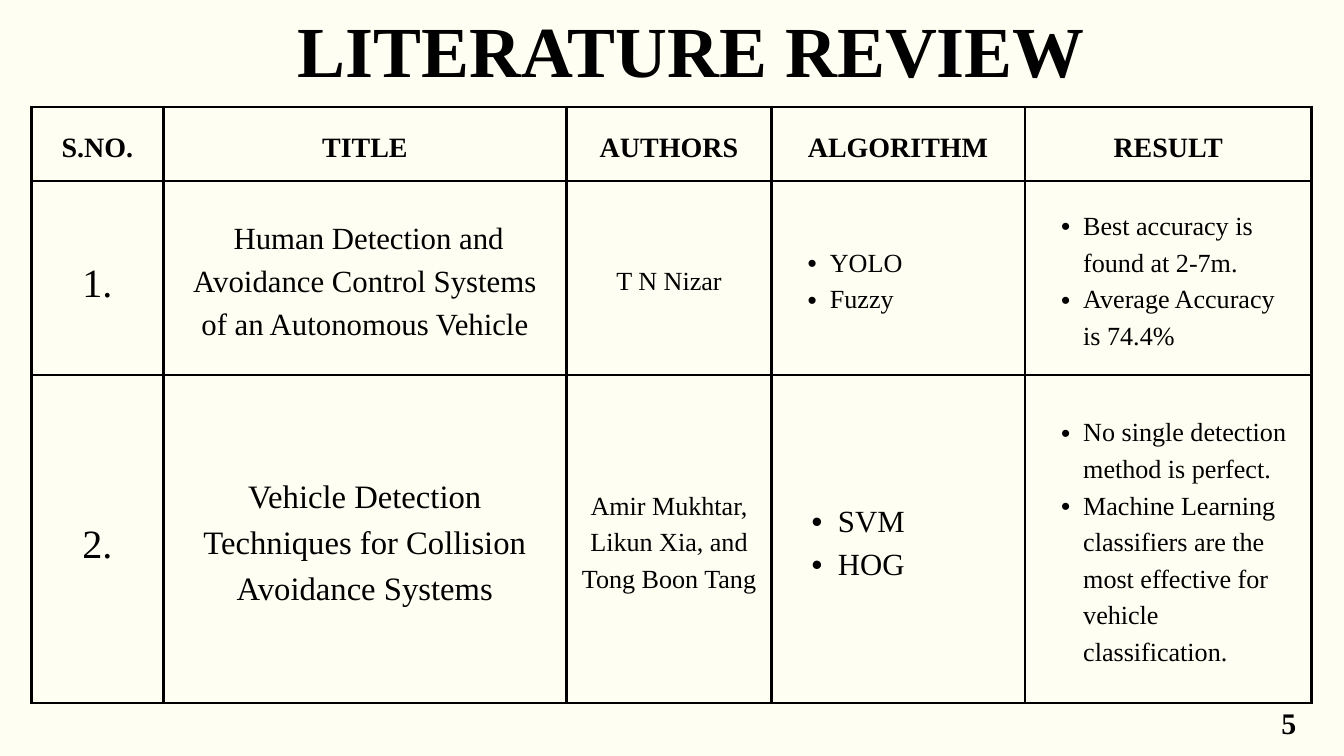
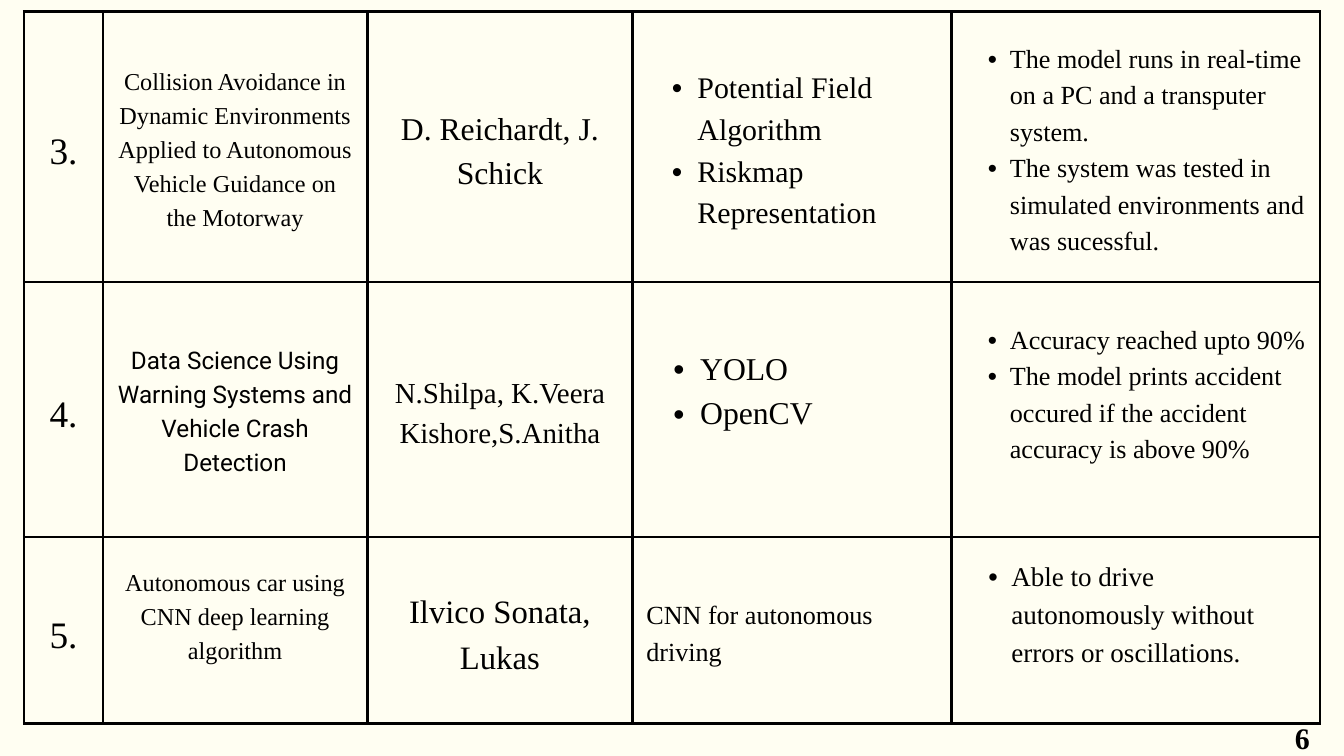
from dataclasses import dataclass

from lxml import etree
from pptx import Presentation
from pptx import util as u
from pptx.dml.color import RGBColor
from pptx.enum import text
from pptx.oxml.ns import qn

CREAM = RGBColor(0xFF, 0xFE, 0xF2)
BLACK = RGBColor(0x00, 0x00, 0x00)
SERIF = "Times New Roman"
SANS = "Roboto"
LINE_FACTOR = 1.4  # line height per point of text size
BULLET_INDENT = 0.0118  # inches per point of text size
CELL_MARGIN = 0.21
BORDER_POINTS = 3


@dataclass
class Entry:
    """Content of one table cell."""
    size: float
    lines: tuple
    bulleted: bool = False
    align: text.PP_ALIGN = text.PP_ALIGN.CENTER
    font: str = SERIF
    bold: bool = False
    raised: bool = False  # sits half a line above the middle


def centred(size, line, **style):
    return Entry(size, (line,), **style)


def bullets(size, *lines, **style):
    return Entry(size, lines, bulleted=True, align=text.PP_ALIGN.LEFT, **style)


class ReviewDeck:
    """Holds the shared style and the current slide."""

    def __init__(self):
        self.deck = Presentation()
        self.deck.slide_width = u.Inches(20)
        self.deck.slide_height = u.Inches(11.25)
        self.page = None

    def new_page(self):
        self.page = self.deck.slides.add_slide(self.deck.slide_layouts[6])
        fill = self.page.background.fill
        fill.solid()
        fill.fore_color.rgb = CREAM

    def style(self, para, size, align, font=SERIF, bold=False):
        para.alignment = align
        para.line_spacing = u.Pt(round(size * LINE_FACTOR, 1))
        para.font.size = u.Pt(size)
        para.font.name = font
        para.font.bold = bold
        para.font.color.rgb = BLACK

    def heading(self, left, top, width, height, line, size, wrap=True):
        box = self.page.shapes.add_textbox(*map(u.Inches, (left, top, width, height)))
        frame = box.text_frame
        frame.margin_left = frame.margin_right = 0
        frame.margin_top = frame.margin_bottom = 0
        frame.word_wrap = wrap
        frame.auto_size = text.MSO_AUTO_SIZE.SHAPE_TO_FIT_TEXT
        para = frame.paragraphs[0]
        para.text = line
        self.style(para, size, text.PP_ALIGN.CENTER, bold=True)

    def title(self, line):
        self.heading(4.39, -0.13, 11.81, 1.6, line, 77)

    def page_number(self, left, top, number):
        self.heading(left, top, 0.17, 0.3, str(number), 32, wrap=False)

    def table(self, left, top, widths, heights, rows):
        frame = self.page.shapes.add_table(
            len(heights), len(widths), u.Inches(left), u.Inches(top),
            u.Inches(sum(widths)), u.Inches(sum(heights)))
        grid = frame.table
        grid.first_row = grid.horz_banding = False
        for column, width in zip(grid.columns, widths):
            column.width = u.Inches(width)
        for row, height, entries in zip(grid.rows, heights, rows):
            row.height = u.Inches(height)
            for cell, entry in zip(row.cells, entries):
                self.fill_cell(cell, entry)

    def fill_cell(self, cell, entry):
        self.border(cell)
        cell.fill.background()
        cell.vertical_anchor = text.MSO_ANCHOR.MIDDLE
        cell.margin_left = cell.margin_right = u.Inches(CELL_MARGIN)
        cell.margin_top = cell.margin_bottom = u.Inches(CELL_MARGIN)
        if entry.raised:
            cell.margin_bottom += u.Pt(entry.size * LINE_FACTOR)
        frame = cell.text_frame
        for index, line in enumerate(entry.lines):
            para = frame.add_paragraph() if index else frame.paragraphs[0]
            para.text = line
            if entry.bulleted:
                self.bullet(para, entry.size)
            self.style(para, entry.size, entry.align, entry.font, entry.bold)

    def bullet(self, para, size):
        indent = u.Inches(round(size * BULLET_INDENT, 2))
        para.level = 1
        props = para._p.get_or_add_pPr()
        props.set("marL", str(2 * indent))
        props.set("indent", str(-indent))
        etree.SubElement(props, qn("a:buFont"), typeface="Arial")
        etree.SubElement(props, qn("a:buChar"), char="•")

    def border(self, cell):
        props = cell._tc.get_or_add_tcPr()
        for side in ("a:lnL", "a:lnR", "a:lnT", "a:lnB"):
            line = etree.SubElement(props, qn(side), w=str(u.Pt(BORDER_POINTS)))
            fill = etree.SubElement(line, qn("a:solidFill"))
            etree.SubElement(fill, qn("a:srgbClr"), val=str(BLACK))


def first_review_page(review):
    review.new_page()
    headers = ("S.NO.", "TITLE", "AUTHORS", "ALGORITHM", "RESULT")
    rows = [
        [centred(30, header, bold=True) for header in headers],
        [
            centred(43, "1."),
            centred(33, " Human Detection and Avoidance Control Systems "
                        "of an Autonomous Vehicle"),
            centred(28, "T N Nizar"),
            bullets(28, "YOLO", "Fuzzy"),
            bullets(28, "Best accuracy is found at 2-7m.",
                    "Average Accuracy is 74.4%"),
        ],
        [
            centred(43, "2."),
            centred(35, "Vehicle Detection Techniques for Collision "
                        "Avoidance Systems"),
            centred(28, "Amir Mukhtar, Likun Xia, and Tong Boon Tang"),
            bullets(33, "SVM", "HOG"),
            bullets(28, "No single detection method is perfect.",
                    "Machine Learning classifiers are the most effective "
                    "for vehicle classification."),
        ],
    ]
    review.table(0.47, 1.59, (1.96, 6, 3.05, 3.77, 4.27), (1.1, 2.89, 4.88), rows)
    review.title("LITERATURE REVIEW")
    review.page_number(19.07, 10.39, 5)


def second_review_page(review):
    review.new_page()
    rows = [
        [
            centred(40, "3."),
            centred(26, "Collision Avoidance in Dynamic Environments Applied "
                        "to Autonomous Vehicle Guidance on the Motorway"),
            centred(34, "D. Reichardt, J. Schick"),
            bullets(32, "Potential Field Algorithm", "Riskmap Representation"),
            bullets(28, "The model runs in real-time on a PC and a transputer system.",
                    "The system was tested in simulated environments and "
                    "was sucessful."),
        ],
        [
            centred(40, "4."),
            centred(26, "Data Science Using Warning Systems and Vehicle "
                        "Crash Detection", font=SANS),
            centred(31, "N.Shilpa, K.Veera Kishore,S.Anitha"),
            bullets(34, "YOLO", "OpenCV", raised=True),
            bullets(28, "Accuracy reached upto 90%",
                    "The model prints accident occured if the accident "
                    "accuracy is above 90%", raised=True),
        ],
        [
            centred(40, "5."),
            centred(26, "Autonomous car using CNN deep learning algorithm",
                    raised=True),
            centred(35, "Ilvico Sonata, Lukas"),
            Entry(28, ("CNN for autonomous driving",), align=text.PP_ALIGN.LEFT),
            bullets(29, "Able to drive autonomously without errors or "
                        "oscillations.", raised=True),
        ],
    ]
    review.table(0.36, 0.17, (1.17, 3.94, 3.94, 4.75, 5.48), (4.03, 3.79, 2.78), rows)
    review.page_number(19.27, 10.62, 6)


def main():
    review = ReviewDeck()
    first_review_page(review)
    second_review_page(review)
    review.deck.save("out.pptx")


if __name__ == "__main__":
    main()
